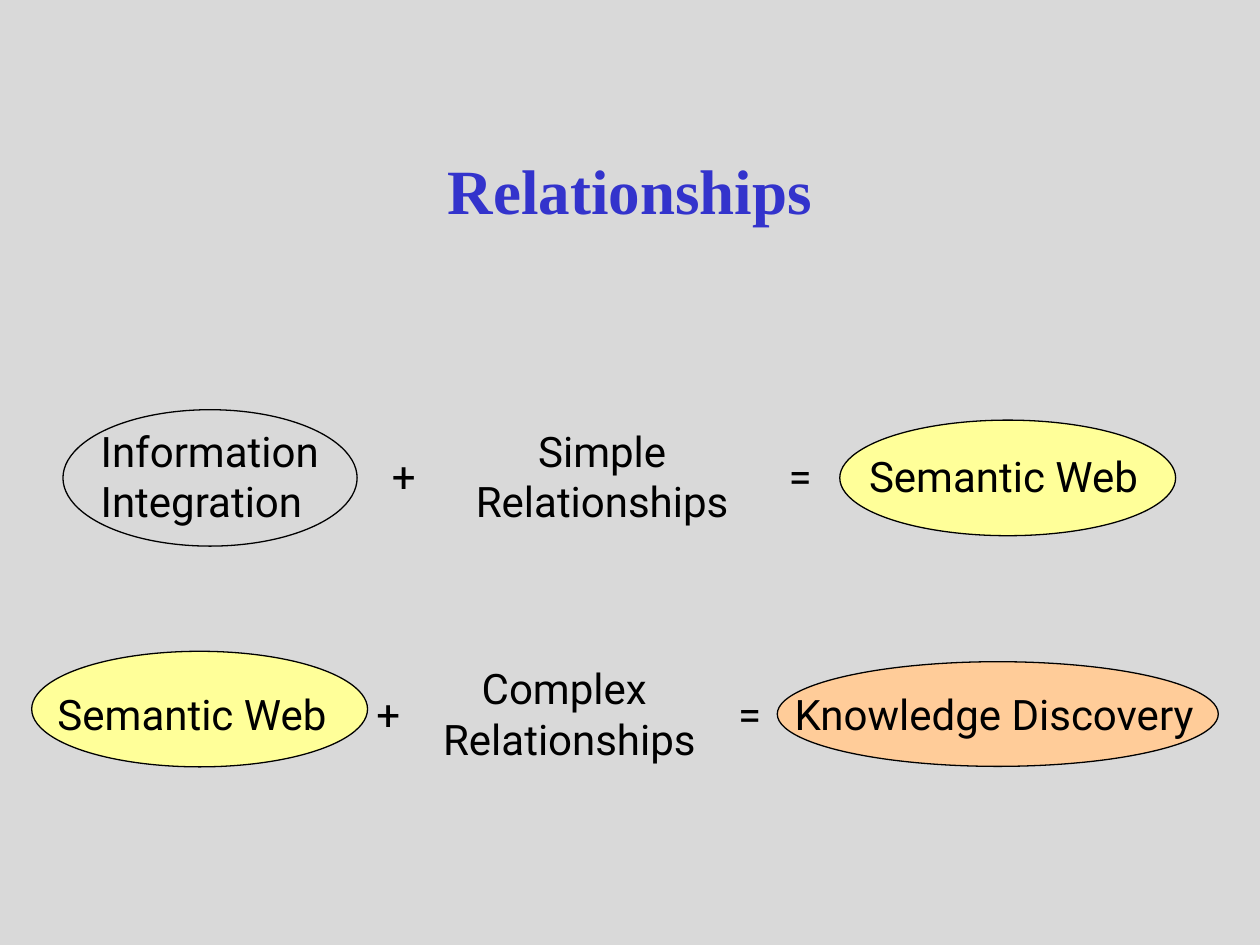
import pptx
import pptx.dml.color
import pptx.enum.shapes
import pptx.enum.text
import pptx.util

Cm = pptx.util.Cm
Pt = pptx.util.Pt
ALIGN = pptx.enum.text.PP_ALIGN
ANCHOR = pptx.enum.text.MSO_ANCHOR

THEME = {
    "background": "D9D9D9", "title": "3333CC", "ink": "000000",
    "semantic": "FFFF99", "discovery": "FFCC99",
    "title_font": "Times New Roman", "body_font": "Roboto",
    "title_size": 36, "body_size": 24, "outline": 0.75,
}
TITLE = "Relationships"
OVALS = [
    ("discovery", 15.67, 13.34, 8.89, 2.11),
    ("semantic", 0.64, 13.13, 6.77, 2.33),
    ("semantic", 16.93, 8.47, 6.77, 2.33),
    (None, 1.27, 8.26, 5.93, 2.75),
]
EQUATIONS = [
    (9.6, [
        (["Information", "Integration"], 1.78, 5.28, ALIGN.LEFT),
        (["+"], 7.65, 0.99, ALIGN.LEFT),
        (["Simple", "Relationships"], 9.22, 5.84, ALIGN.CENTER),
        (["="], 15.65, 0.99, ALIGN.LEFT),
        (["Semantic Web"], 17.27, 6.17, ALIGN.LEFT),
    ]),
    (14.38, [
        (["Semantic Web"], 0.91, 6.17, ALIGN.LEFT),
        (["+"], 7.34, 0.99, ALIGN.LEFT),
        (["Complex ", "Relationships"], 8.56, 5.84, ALIGN.CENTER),
        (["="], 14.63, 0.99, ALIGN.LEFT),
        (["Knowledge Discovery"], 15.77, 9.02, ALIGN.LEFT),
    ]),
]
FIRST_LINE, NEXT_LINE = 1.27, 1.02


def color(role):
    return pptx.dml.color.RGBColor.from_string(THEME[role])


def add_oval(slide, role, *place):
    oval = slide.shapes.add_shape(
        pptx.enum.shapes.MSO_SHAPE.OVAL, *map(Cm, place))
    oval.shadow.inherit = False
    if role:
        oval.fill.solid()
        oval.fill.fore_color.rgb = color(role)
    else:
        oval.fill.background()
    oval.line.color.rgb = color("ink")
    oval.line.width = Pt(THEME["outline"])


def add_text(slide, lines, place, align, kind="body", ink="ink", bold=False):
    frame = slide.shapes.add_textbox(*map(Cm, place)).text_frame
    frame.word_wrap = kind == "title"
    frame.vertical_anchor = ANCHOR.MIDDLE if kind == "title" else ANCHOR.TOP
    for index, line in enumerate(lines):
        paragraph = frame.add_paragraph() if index else frame.paragraphs[0]
        paragraph.alignment = align
        run = paragraph.add_run()
        run.text = line
        run.font.name = THEME[kind + "_font"]
        run.font.size = Pt(THEME[kind + "_size"])
        run.font.bold = bold
        run.font.color.rgb = color(ink)


def main():
    """Build the slide of two relationship equations."""
    deck = pptx.Presentation()
    deck.slide_width, deck.slide_height = Cm(25.4), Cm(19.05)
    slide = deck.slides.add_slide(deck.slide_layouts[6])
    slide.background.fill.solid()
    slide.background.fill.fore_color.rgb = color("background")
    for oval in OVALS:
        add_oval(slide, *oval)
    add_text(slide, [TITLE], (1.9, 2.75, 21.6, 2.12), ALIGN.CENTER,
             "title", "title", True)
    for middle, terms in EQUATIONS:
        for lines, left, width, align in terms:
            height = FIRST_LINE + NEXT_LINE * (len(lines) - 1)
            add_text(slide, lines, (left, middle - height / 2, width, height), align)
    deck.save("out.pptx")


if __name__ == "__main__":
    main()
